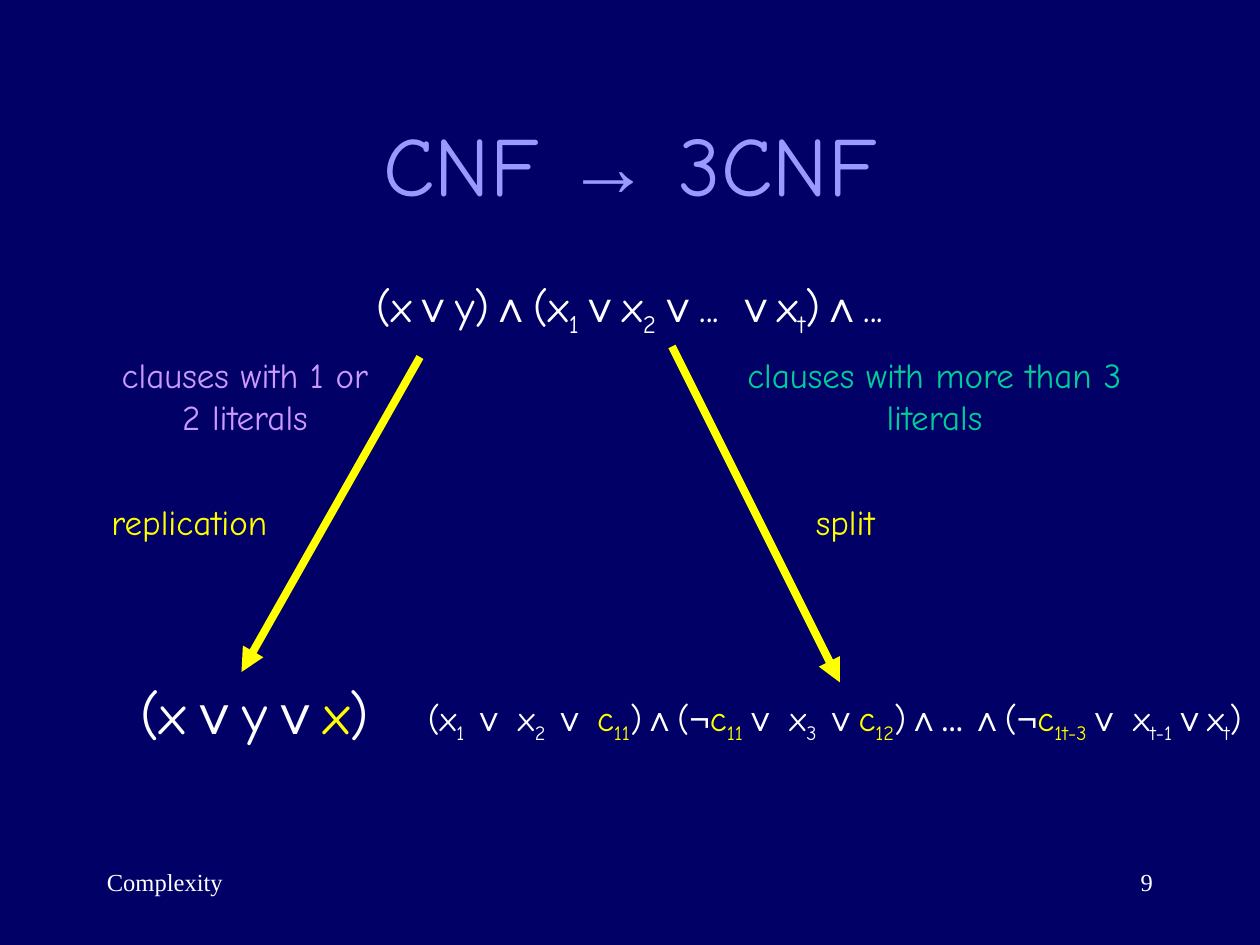
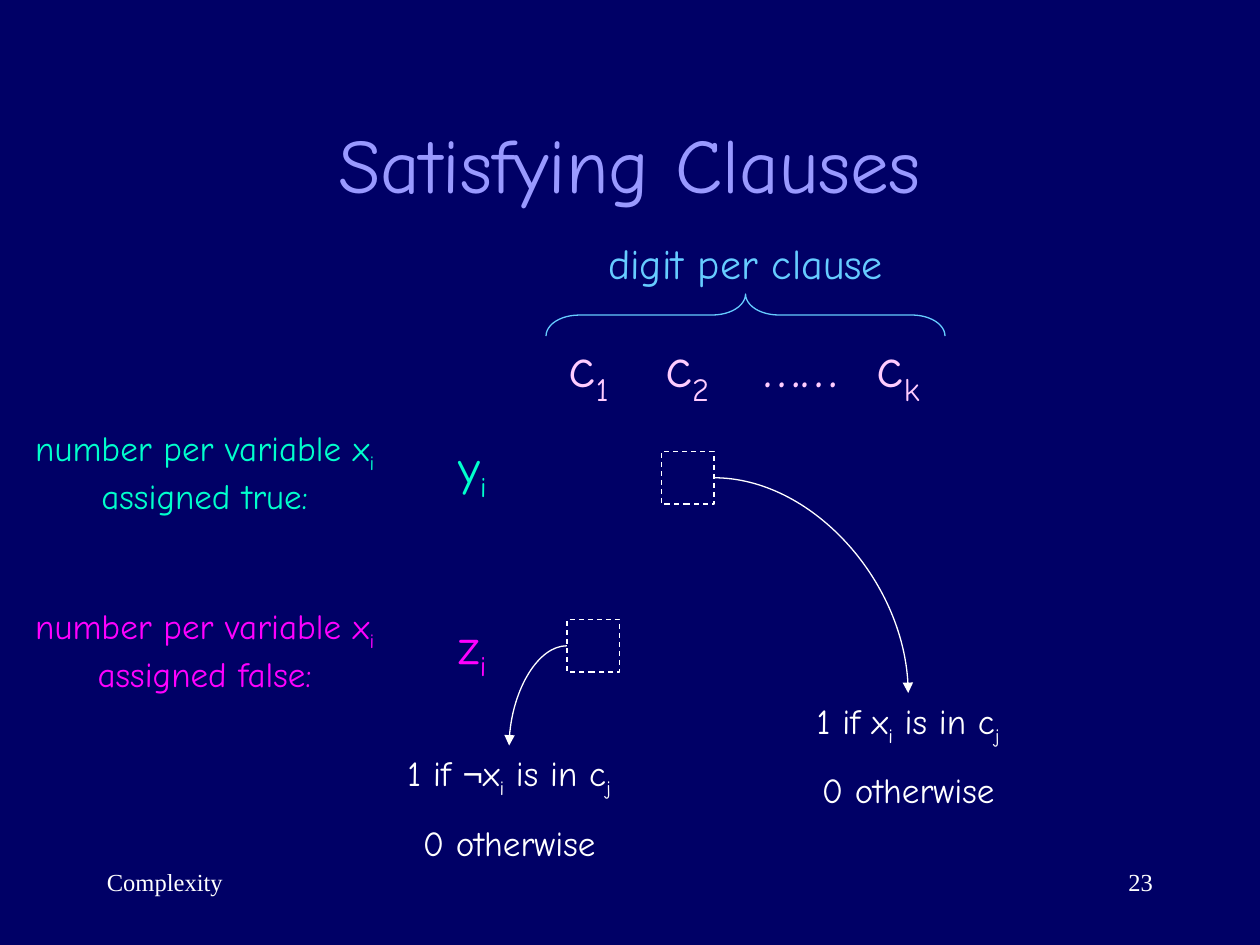
from dataclasses import dataclass
from typing import NamedTuple

import pptx
import pptx.dml.color
import pptx.enum.dml
import pptx.enum.shapes
import pptx.enum.text
import pptx.oxml.ns
import pptx.oxml.xmlchemy
import pptx.util

Pt = pptx.util.Pt
qn = pptx.oxml.ns.qn
new_element = pptx.oxml.xmlchemy.OxmlElement
ALIGN = pptx.enum.text.PP_ALIGN
ANCHOR = pptx.enum.text.MSO_ANCHOR
AUTO = pptx.enum.text.MSO_AUTO_SIZE
SHAPE = pptx.enum.shapes.MSO_SHAPE
LINK = pptx.enum.shapes.MSO_CONNECTOR

# Shared style
NAVY, TITLE, WHITE, YELLOW = "000066", "9999FF", "FFFFFF", "FFFF00"
LILAC, GREEN, SKY, PINK = "CC99FF", "00CC99", "66CCFF", "FFCCFF"
MINT, MAGENTA = "00FFCC", "FF00FF"
HAND, SYMBOL, DOTS, FOOTER = "Comic Neue", "Arial", "Cambria", "Times New Roman"


class Run(NamedTuple):
    text: str
    font: str = HAND
    color: str | None = None
    sub: bool = False


@dataclass
class Box:
    left: float
    top: float
    width: float
    height: float
    paras: list[list[Run]]
    size: float = 20
    color: str = WHITE
    align: ALIGN = ALIGN.CENTER
    anchor: ANCHOR = ANCHOR.TOP
    before: float | None = None  # None: in proportion to the text size
    grow: bool = True
    tabs: tuple[float, ...] = ()


def sub(text: str, color: str | None = None) -> Run:
    return Run(text, color=color, sub=True)


def sym(text: str) -> Run:
    return Run(text, SYMBOL)


def new_literal(index: str) -> list[Run]:
    return [Run("c", color=YELLOW), sub(index, YELLOW)]


OR, AND, NOT = sym("∨"), sym("∧"), sym("¬")


def rgb(value: str) -> pptx.dml.color.RGBColor:
    return pptx.dml.color.RGBColor.from_string(value)


# Text
def add_runs(p, runs: list[Run], size: float, color: str) -> None:
    for run in runs:
        r = p.add_run()
        r.text = run.text
        r.font.name = run.font
        r.font.size = Pt(size)
        r.font.color.rgb = rgb(run.color or color)
        if run.sub:
            r.font._element.set("baseline", "-25000")


def set_tabs(p, tabs: tuple[float, ...]) -> None:
    pPr = p._p.get_or_add_pPr()
    tab_list = new_element("a:tabLst")
    for pos in tabs:
        tab = new_element("a:tab")
        tab.set("pos", str(int(Pt(pos))))
        tab.set("algn", "l")
        tab_list.append(tab)
    pPr.append(tab_list)


def add_box(s, box: Box):
    sp = s.shapes.add_textbox(Pt(box.left), Pt(box.top), Pt(box.width), Pt(box.height))
    tf = sp.text_frame
    tf.word_wrap = True
    tf.vertical_anchor = box.anchor
    tf.auto_size = AUTO.SHAPE_TO_FIT_TEXT if box.grow else AUTO.NONE
    for i, runs in enumerate(box.paras):
        p = tf.add_paragraph() if i else tf.paragraphs[0]
        p.alignment = box.align
        p.space_before = Pt(box.size * 0.625 if box.before is None else box.before)
        if box.tabs:
            set_tabs(p, box.tabs)
        add_runs(p, runs, box.size, box.color)
    return sp


# Lines and shapes
def style_arrow(link, color: str, width: float) -> None:
    link.line.color.rgb = rgb(color)
    link.line.width = Pt(width)
    spPr = link.element.spPr
    tail = new_element("a:tailEnd")
    tail.set("type", "triangle")
    spPr.find(qn("a:ln")).append(tail)
    spPr.append(new_element("a:effectLst"))


def add_arrow(s, x1: float, y1: float, x2: float, y2: float) -> None:
    link = s.shapes.add_connector(LINK.STRAIGHT, Pt(x1), Pt(y1), Pt(x2), Pt(y2))
    style_arrow(link, YELLOW, 4.5)


def add_curve(s, cell, side: int, note) -> None:
    """Quarter curve from a side of the cell down to the top of the note."""
    x1 = cell.left + (cell.width if side == 3 else 0)
    y1 = cell.top + cell.height // 2
    x2 = note.left + note.width // 2
    link = s.shapes.add_connector(LINK.CURVE, x1, y1, x2, note.top)
    link.element.spPr.find(qn("a:prstGeom")).set("prst", "curvedConnector2")
    link.begin_connect(cell, side)
    link.end_connect(note, 0)
    style_arrow(link, WHITE, 0.75)


def add_outline(s, kind, left: float, top: float, width: float, height: float, color: str):
    sp = s.shapes.add_shape(kind, Pt(left), Pt(top), Pt(width), Pt(height))
    sp.shadow.inherit = False
    sp.fill.background()
    sp.line.color.rgb = rgb(color)
    sp.line.width = Pt(0.75)
    return sp


def add_digit_cell(s, left: float, top: float):
    sp = add_outline(s, SHAPE.RECTANGLE, left, top, 30, 30, WHITE)
    sp.line.dash_style = pptx.enum.dml.MSO_LINE.DASH
    return sp


# Slide frame: title, footer and number
def add_slide(prs, title: list[Run], size: float, number: int):
    s = prs.slides.add_slide(prs.slide_layouts[5])
    sp = s.shapes.title
    sp.left, sp.top, sp.width, sp.height = Pt(54), Pt(48), Pt(612), Pt(90)
    tf = sp.text_frame
    tf.auto_size = AUTO.NONE
    tf.vertical_anchor = ANCHOR.MIDDLE
    p = tf.paragraphs[0]
    p.alignment = ALIGN.CENTER
    add_runs(p, title, size, TITLE)
    for left, text, align in ((54, "Complexity", ALIGN.LEFT), (516, str(number), ALIGN.RIGHT)):
        add_box(s, Box(left, 492, 150, 36, [[Run(text, FOOTER)]], 14,
                       align=align, before=0, grow=False))
    return s


def build_cnf(prs) -> None:
    s = add_slide(prs, [Run("CNF "), sym("→"), Run(" 3CNF")], 48, 9)

    # Formulas
    source = [Run("(x"), OR, Run("y)"), AND, Run("(x"), sub("1"), OR, Run("x"), sub("2"), OR,
              Run("... "), OR, Run("x"), sub("t"), Run(")"), AND, Run("...")]
    replicated = [Run("(x"), OR, Run("y"), OR, Run("x", color=YELLOW), Run(")")]
    split = [Run("(x"), sub("1 "), OR, Run(" x"), sub("2 "), sym("∨ "), *new_literal("11"),
             Run(")"), AND, Run("("), NOT, *new_literal("11"), OR, Run(" x"), sub("3 "), OR,
             *new_literal("12"), Run(")"), AND, Run("... ", DOTS), AND, Run("("), NOT,
             *new_literal("1t-3"), OR, Run(" x"), sub("t-1"), OR, Run("x"), sub("t"), Run(")")]
    add_box(s, Box(54, 156, 612, 42, [source], 24.8, before=8, grow=False))
    add_box(s, Box(60, 384, 171, 46, [replicated], 32, anchor=ANCHOR.MIDDLE))
    add_box(s, Box(234, 394.5, 486, 34.5, [split], anchor=ANCHOR.MIDDLE))

    # Branch labels
    for left, top, width, height, text, color in (
        (54, 198, 172, 55.5, "clauses with 1 or 2 literals", LILAC),
        (42, 282, 132.5, 31.5, "replication", YELLOW),
        (396, 198, 276, 55.5, "clauses with more than 3 literals", GREEN),
        (408, 282, 150, 31.5, "split", YELLOW),
    ):
        add_box(s, Box(left, top, width, height, [[Run(text)]], color=color,
                       anchor=ANCHOR.MIDDLE))
    add_arrow(s, 240, 204, 138, 384)
    add_arrow(s, 384, 198, 480, 390)


def build_clauses(prs) -> None:
    s = add_slide(prs, [Run("Satisfying Clauses")], 44, 23)

    # Clause columns under a brace
    columns = [Run("c"), sub("1"), Run("\tc"), sub("2"), Run("\t……\tc"), sub("k")]
    add_box(s, Box(318, 186, 240, 51, [columns], 32, PINK, ALIGN.LEFT, tabs=(55, 111, 176)))
    brace = add_outline(s, SHAPE.LEFT_BRACE, 414, 66, 24, 228, SKY)
    brace.rotation = 90
    brace.adjustments[0] = 0.79
    add_box(s, Box(324, 132, 204, 36, [[Run("digit per clause")]], 24, SKY))

    # Number rows
    for top, name, value, color in ((240, "y", "true", MINT), (342, "z", "false", MAGENTA)):
        add_box(s, Box(252, top + 6, 36, 45, [[Run(name), sub("i")]], 28, color))
        label = [Run("number per variable x"), sub("i"), Run(f" assigned {value}:")]
        add_box(s, Box(0, top, 234, 59, [label], color=color))

    # Digit cells and what they hold
    for cell_left, cell_top, side, left, top, literal in (
        (378, 258, 3, 426, 396, [Run("1 if x")]),
        (324, 354, 1, 198, 426, [Run("1 if "), NOT, Run("x")]),
    ):
        cell = add_digit_cell(s, cell_left, cell_top)
        rule = [*literal, sub("i"), Run(" is in c"), sub("j")]
        note = add_box(s, Box(left, top, 186, 71, [rule, [Run("0 otherwise")]]))
        add_curve(s, cell, side, note)


def main() -> None:
    prs = pptx.Presentation()
    prs.slide_width, prs.slide_height = Pt(720), Pt(540)
    fill = prs.slide_master.background.fill
    fill.solid()
    fill.fore_color.rgb = rgb(NAVY)
    build_cnf(prs)
    build_clauses(prs)
    prs.save("out.pptx")


if __name__ == "__main__":
    main()
